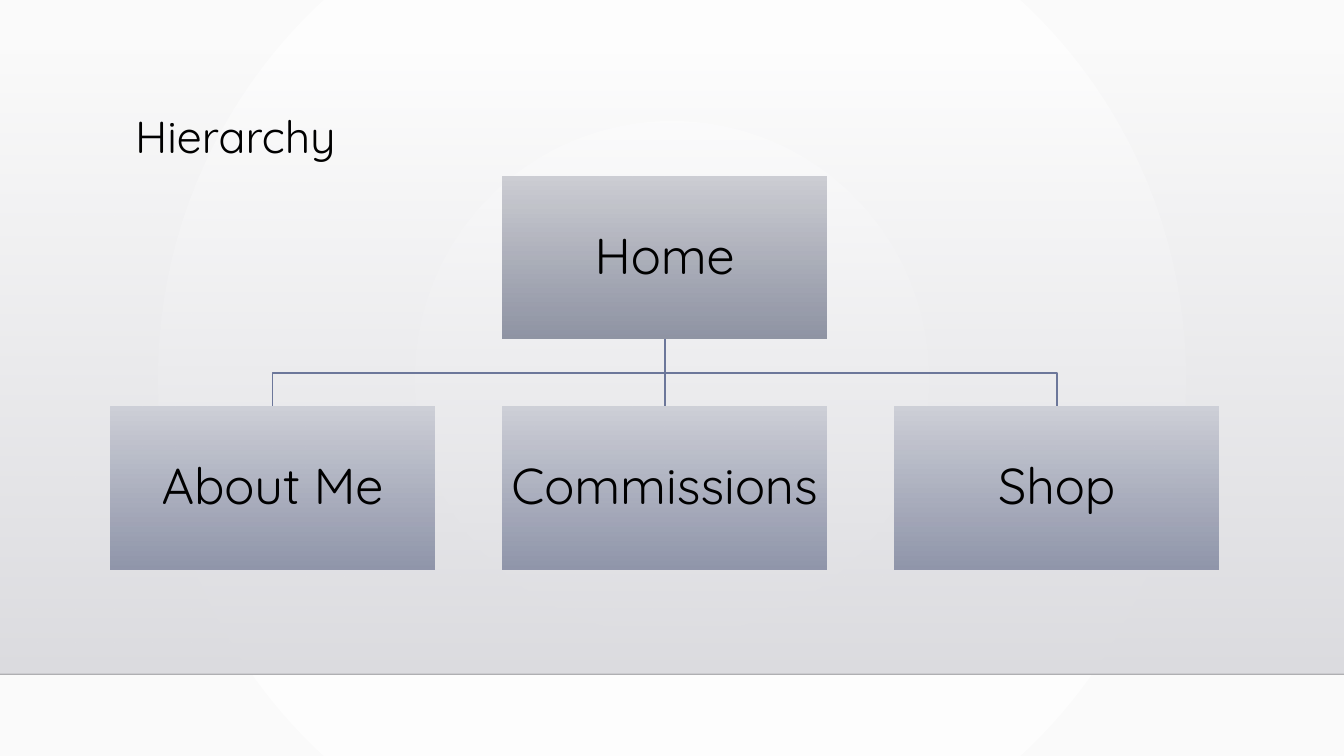
from lxml import etree
from pptx import Presentation
from pptx.dml.color import RGBColor
from pptx.enum.shapes import MSO_CONNECTOR, MSO_SHAPE
from pptx.enum.text import MSO_ANCHOR, PP_ALIGN
from pptx.oxml.ns import qn
from pptx.util import Cm, Pt

RECTANGLE = MSO_SHAPE.RECTANGLE
STRAIGHT = MSO_CONNECTOR.STRAIGHT
MIDDLE = MSO_ANCHOR.MIDDLE
LEFT, CENTER = PP_ALIGN.LEFT, PP_ALIGN.CENTER
TITLE_ONLY = 5
FONT = "Quicksand"
LINK_COLOUR = "6C779A"
BOX_WIDTH, BOX_HEIGHT = 8.18, 4.09
COLUMN_STEP, ROW_STEP = 9.88, 5.8


def colour(code):
    """Return the colour for a hex string."""
    return RGBColor.from_string(code)


def add_alpha(colour_node, percent):
    """Set the opacity of a colour element."""
    etree.SubElement(colour_node, qn("a:alpha"), val=str(percent * 1000))


def fill_gradient(owner, start, end, start_alpha=100, end_alpha=100, radial=False):
    """Fill a shape or background with a downward or radial gradient."""
    owner.fill.gradient()
    node = next(owner_element(owner).iter(qn("a:gradFill")))
    for child in list(node):
        node.remove(child)
    stops = etree.SubElement(node, qn("a:gsLst"))
    for position, code, alpha in ((0, start, start_alpha), (100, end, end_alpha)):
        stop = etree.SubElement(stops, qn("a:gs"), pos=str(position * 1000))
        add_alpha(etree.SubElement(stop, qn("a:srgbClr"), val=code), alpha)
    if radial:
        route = etree.SubElement(node, qn("a:path"), path="circle")
        etree.SubElement(route, qn("a:fillToRect"), l="50000", t="50000", r="50000", b="50000")
    else:
        etree.SubElement(node, qn("a:lin"), ang="5400000", scaled="0")


def owner_element(owner):
    """Return the XML element of a shape or a slide background."""
    return owner.element if hasattr(owner, "element") else owner._cSld


def write_text(shape, text, size, align=LEFT, inset=None):
    """Put one formatted paragraph in a shape."""
    frame = shape.text_frame
    frame.word_wrap = True
    frame.vertical_anchor = MIDDLE
    if inset is not None:
        frame.margin_left = frame.margin_right = Cm(inset)
        frame.margin_top = frame.margin_bottom = Cm(inset)
    para = frame.paragraphs[0]
    para.alignment = align
    para.line_spacing = 0.9
    span = para.add_run()
    span.text = text
    span.font.name = FONT
    span.font.size = Pt(size)
    span.font.color.rgb = colour("000000")


def add_rectangle(page, left, top, width, height, **gradient):
    """Add a borderless rectangle with a gradient."""
    shape = page.shapes.add_shape(RECTANGLE, Cm(left), Cm(top), Cm(width), Cm(height))
    shape.shadow.inherit = False
    shape.line.fill.background()
    fill_gradient(shape, **gradient)
    return shape


def add_line(page, start, end, code, width):
    """Add a straight line without a shadow."""
    line = page.shapes.add_connector(STRAIGHT, *map(Cm, start + end))
    line.line.color.rgb = colour(code)
    line.line.width = Pt(width)
    etree.SubElement(line.element.spPr, qn("a:effectLst"))
    return line


def add_backdrop(page, width, top, height):
    """Draw the background, the shaded band and the rule below it."""
    fill_gradient(page.background, "FFFFFF", "FAFAFA", radial=True)
    add_rectangle(page, 0, top, width, height, start="DCDCE0", end="DEDEE2", start_alpha=0)
    bottom = top + height
    rule = add_line(page, (0, bottom), (width, bottom), "000001", 1)
    add_alpha(next(rule.element.iter(qn("a:srgbClr"))), 20)


def add_title(page, text, left, top, width, height):
    """Place the title above the backdrop."""
    title = page.shapes.title
    title.left, title.top, title.width, title.height = map(Cm, (left, top, width, height))
    write_text(title, text, 32)
    page.shapes.element.append(title.element)


def add_link(page, start, end):
    """Join a parent to a child, bending halfway down."""
    if start[0] == end[0]:
        add_line(page, start, end, LINK_COLOUR, 1.25)
        return
    middle = (start[1] + end[1]) / 2
    points = [(start[0], middle), (end[0], middle), end]
    builder = page.shapes.build_freeform(Cm(start[0]), Cm(start[1]))
    builder.add_line_segments([(Cm(x), Cm(y)) for x, y in points], close=False)
    link = builder.convert_to_shape()
    link.shadow.inherit = False
    link.fill.background()
    link.line.color.rgb = colour(LINK_COLOUR)
    link.line.width = Pt(1.25)


def add_box(page, text, left, top, start, end):
    """Draw one labelled box of the hierarchy."""
    box = add_rectangle(page, left, top, BOX_WIDTH, BOX_HEIGHT,
                        start=start, end=end, end_alpha=92)
    write_text(box, text, 36, align=CENTER, inset=0.08)


def add_hierarchy(page, root, children, left, top):
    """Draw a root box centred over a row of linked children."""
    root_left = left + COLUMN_STEP * (len(children) - 1) / 2
    child_top = top + ROW_STEP
    lefts = [left + COLUMN_STEP * index for index in range(len(children))]
    start = (root_left + BOX_WIDTH / 2, top + BOX_HEIGHT)
    for child_left in reversed(lefts):
        add_link(page, start, (child_left + BOX_WIDTH / 2, child_top))
    add_box(page, root, root_left, top, "CDCED4", "888D9E")
    for text, child_left in zip(children, lefts):
        add_box(page, text, child_left, child_top, "CED0D8", "8A90A6")


def main():
    """Build and save the deck."""
    deck = Presentation()
    deck.slide_width, deck.slide_height = Cm(33.87), Cm(19.05)
    page = deck.slides.add_slide(deck.slide_layouts[TITLE_ONLY])
    add_backdrop(page, 33.87, 1.3, 15.69)
    add_title(page, "Hierarchy", 3.15, 2.64, 26.67, 1.7)
    add_hierarchy(page, "Home", ["About Me", "Commissions", "Shop"], 2.78, 4.45)
    deck.save("out.pptx")


if __name__ == "__main__":
    main()
